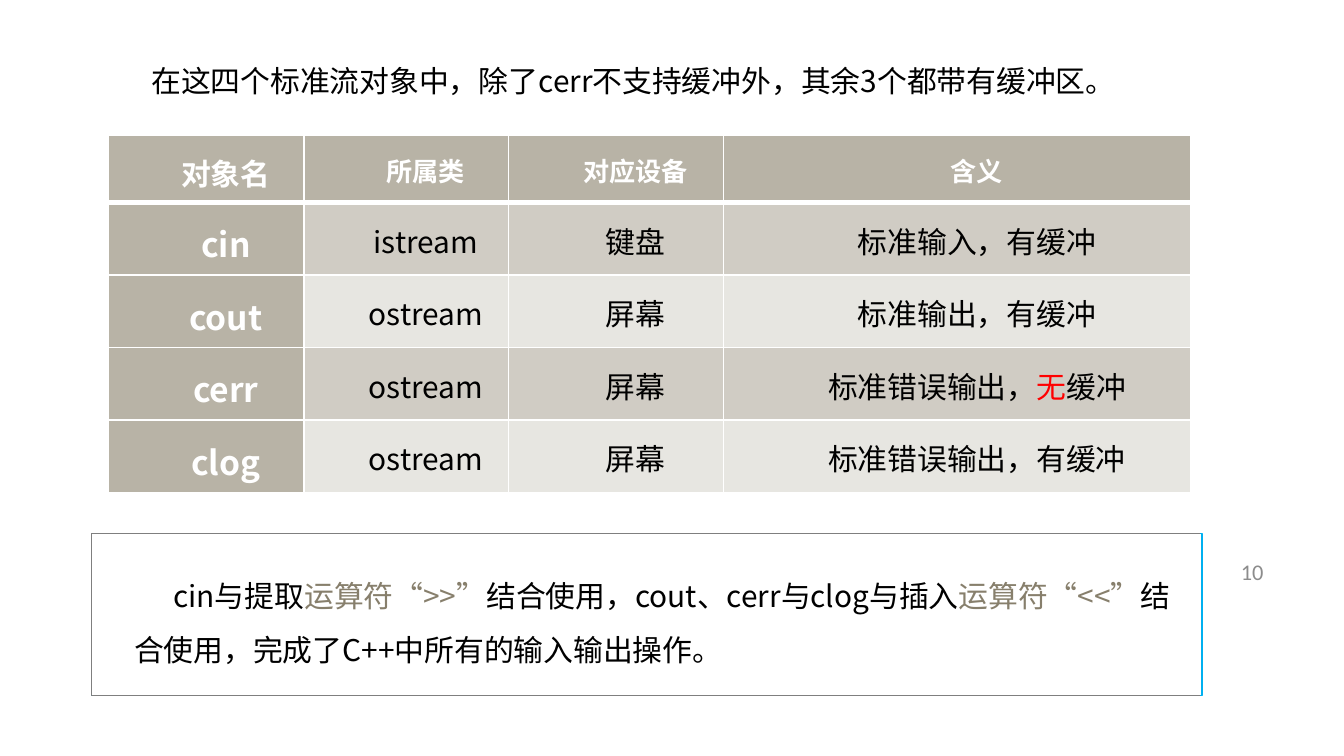
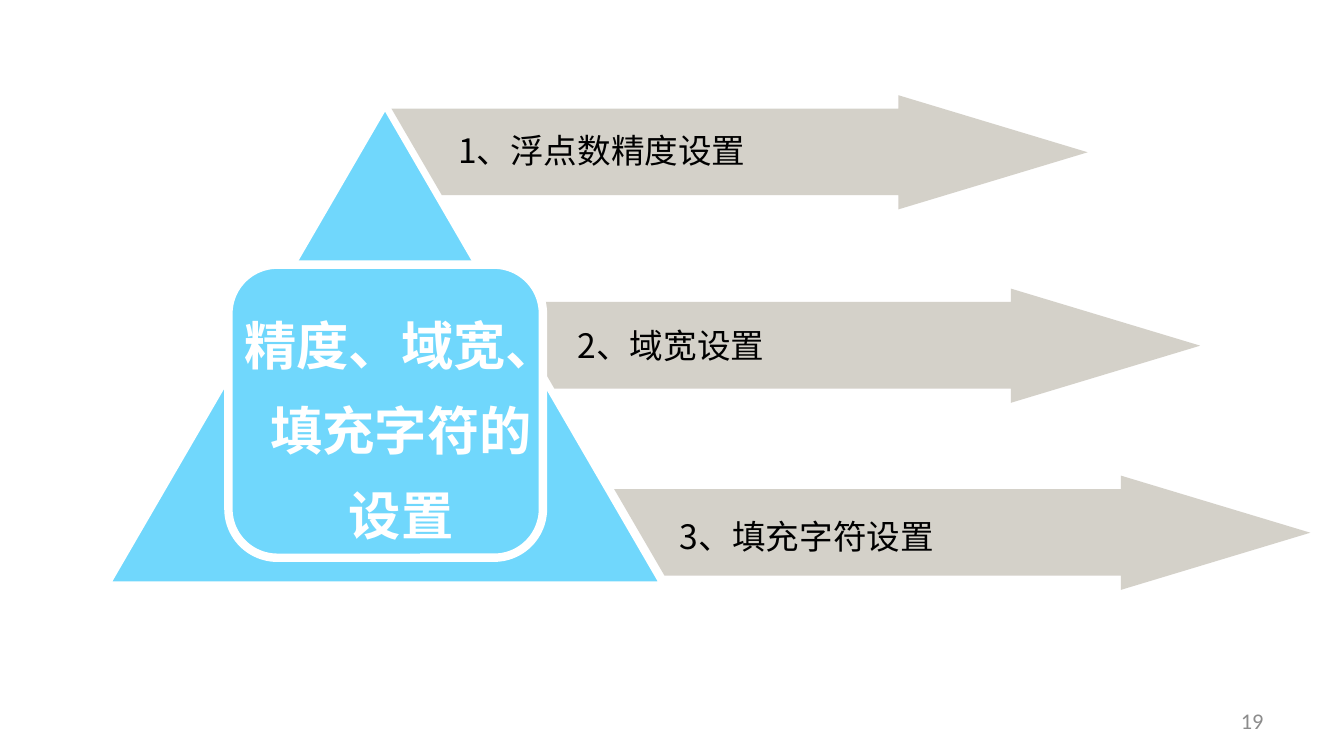
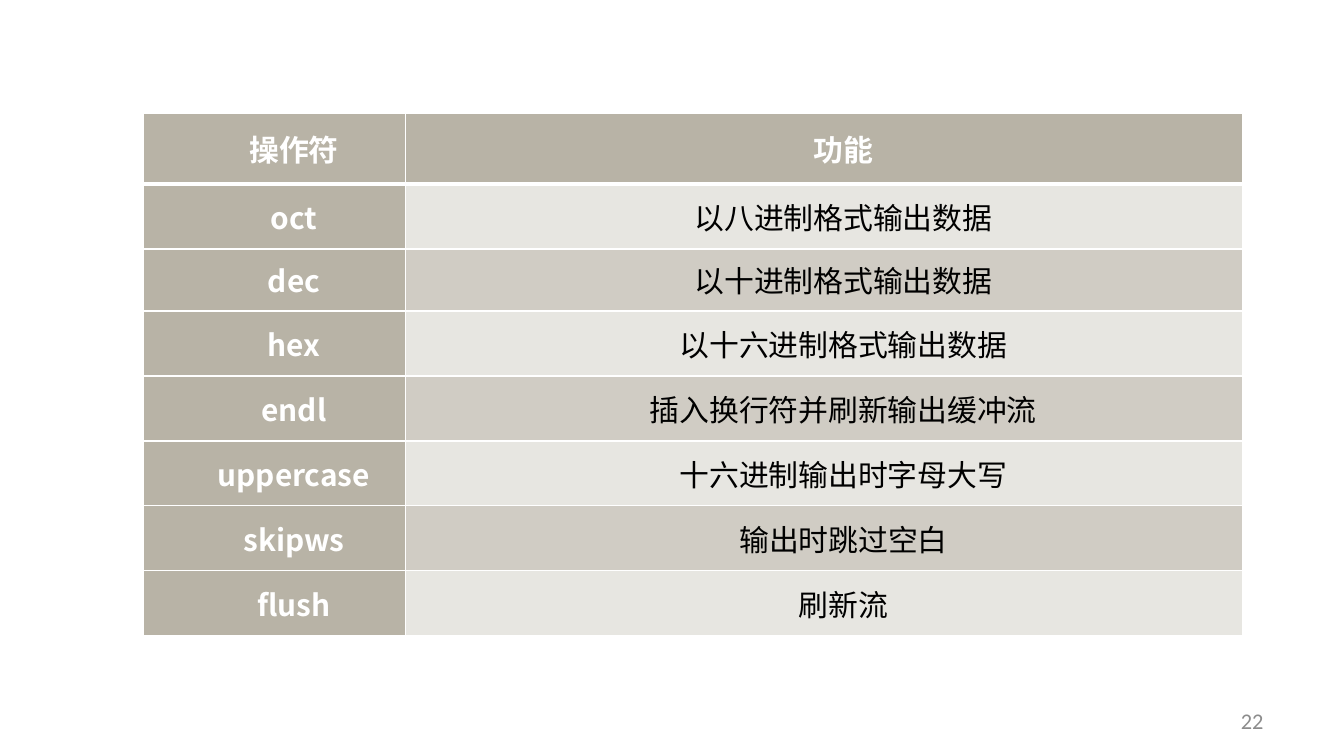
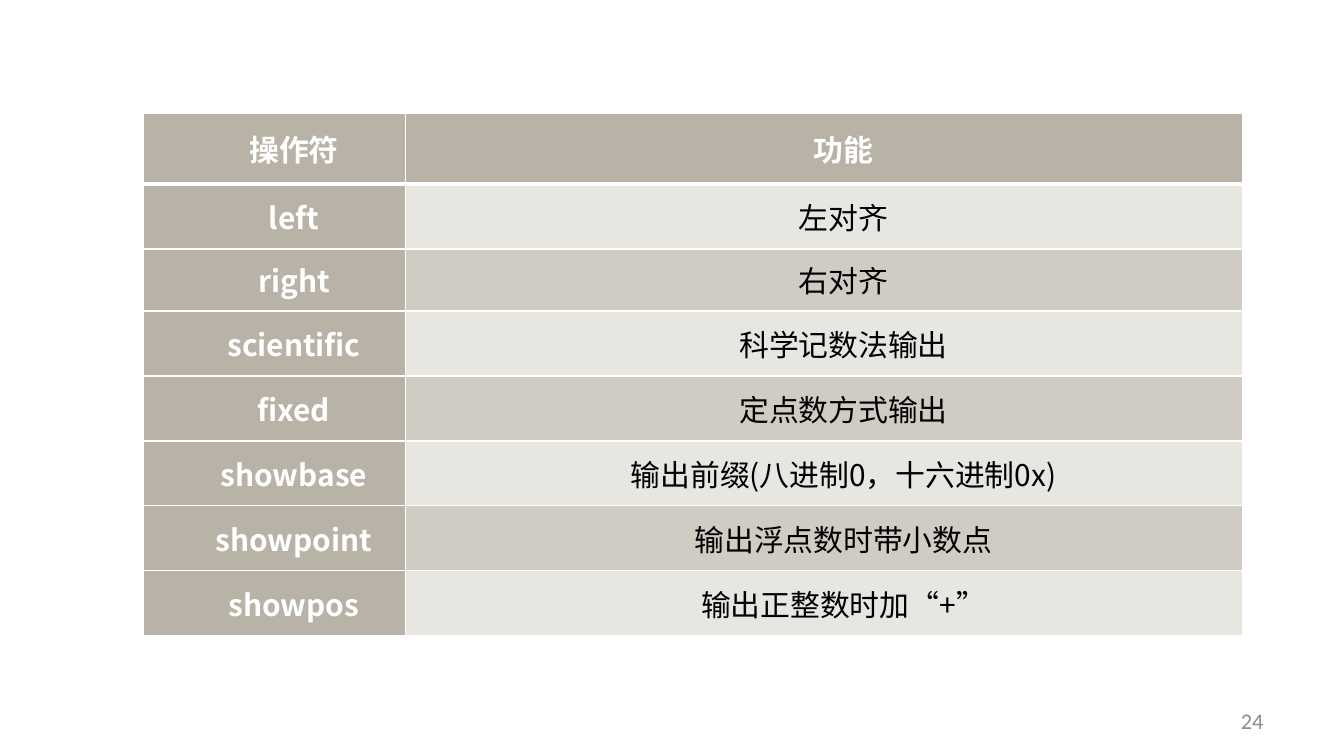
from lxml.etree import SubElement
from pptx import Presentation
from pptx.dml.color import RGBColor as RGB
from pptx.enum.shapes import MSO_SHAPE as SHAPE
from pptx.enum.text import MSO_ANCHOR as ANCHOR, MSO_AUTO_SIZE as AUTO, PP_ALIGN as ALIGN
from pptx.oxml.ns import qn
from pptx.util import Pt

COLORS = {
    "white": "FFFFFF", "black": "000000", "red": "FF0000", "gray": "8C8C8C",
    "head": "B8B3A6", "dark": "D0CCC4", "light": "E7E6E1", "accent": "877F6C",
    "sky": "70D7FC", "blue": "00B0F0", "edge": "7F7F7F",
}
FONT = "Noto Sans CJK SC"


class Deck:
    """Holds the shared style and the slide being built."""

    def __init__(self):
        self.prs = Presentation()
        self.prs.slide_width, self.prs.slide_height = Pt(720), Pt(405)
        self.s = None

    def slide(self, number, top=375):
        self.s = self.prs.slides.add_slide(self.prs.slide_layouts[6])
        self.text(516, top, 168, 21.6, [str(number)], 12, "gray", align=ALIGN.RIGHT,
                  anchor=ANCHOR.MIDDLE, font="Calibri", grow=False)

    def rgb(self, name):
        return RGB.from_string(COLORS[name])

    def paragraph(self, p, runs, size, color, bold=False, align=ALIGN.LEFT,
                  indent=0, spacing=None, font=FONT):
        p.alignment = align
        p.line_spacing = spacing
        f = p.font
        f.size, f.bold, f.name = Pt(size), bold, font
        f.color.rgb = self.rgb(color)
        pPr = p._p.pPr
        pPr.set("marL", "0")
        pPr.set("indent", str(int(Pt(indent))))
        SubElement(pPr.find(qn("a:defRPr")), qn("a:ea"), typeface=font)
        for run in [runs] if isinstance(runs, str) else runs:
            words, tint = (run, None) if isinstance(run, str) else run
            r = p.add_run()
            r.text = words
            if tint:
                r.font.color.rgb = self.rgb(tint)

    def text(self, x, y, w, h, paragraphs, size, color="black", anchor=ANCHOR.TOP,
             grow=True, **style):
        tf = self.s.shapes.add_textbox(Pt(x), Pt(y), Pt(w), Pt(h)).text_frame
        tf.word_wrap = True
        tf.vertical_anchor = anchor
        tf.auto_size = AUTO.SHAPE_TO_FIT_TEXT if grow else AUTO.NONE
        for i, runs in enumerate(paragraphs):
            p = tf.add_paragraph() if i else tf.paragraphs[0]
            self.paragraph(p, runs, size, color, **style)

    def paint(self, sp, fill=None, line=None, width=0.75, alpha=None):
        sp.shadow.inherit = False
        if fill:
            sp.fill.solid()
            sp.fill.fore_color.rgb = self.rgb(fill)
        else:
            sp.fill.background()
        if alpha:
            clr = sp._element.spPr.find(qn("a:solidFill"))[0]
            SubElement(clr, qn("a:alpha"), val=str(alpha * 1000))
        if line:
            sp.line.color.rgb = self.rgb(line)
            sp.line.width = Pt(width)
        else:
            sp.line.fill.background()

    def shape(self, kind, x, y, w, h, **look):
        self.paint(self.s.shapes.add_shape(kind, Pt(x), Pt(y), Pt(w), Pt(h)), **look)

    def outline(self, x, y, points, close=True, **look):
        pts = [(Pt(x + dx), Pt(y + dy)) for dx, dy in points]
        fb = self.s.shapes.build_freeform(*pts[0])
        fb.add_line_segments(pts[1:], close=close)
        self.paint(fb.convert_to_shape(), **look)

    def arrow(self, x, y, label, dx, dy):
        points = [(0, 7.2), (271.5, 7.2), (271.5, 0), (373, 30.6),
                  (271.5, 61.2), (271.5, 53.6), (27, 53.6)]
        self.outline(x, y, points, fill="dark", alpha=90)
        self.text(x + dx, y + dy, 245, 28.8, [label], 18)

    def borders(self, cell, bottom):
        tcPr = cell._tc.get_or_add_tcPr()
        for side, width in (("L", 1), ("R", 1), ("T", 1), ("B", bottom)):
            ln = SubElement(tcPr, qn("a:ln" + side), w=str(int(Pt(width))))
            fill = SubElement(ln, qn("a:solidFill"))
            SubElement(fill, qn("a:srgbClr"), val=COLORS["white"])

    def table(self, x, y, widths, heights, rows, bands, insets, head_size=16, key_size=16):
        t = self.s.shapes.add_table(len(rows), len(widths), Pt(x), Pt(y),
                                    Pt(sum(widths)), Pt(sum(heights))).table
        for col, w in zip(t.columns, widths):
            col.width = Pt(w)
        for row, h in zip(t.rows, heights):
            row.height = Pt(h)
        side, edge = insets
        for i, row in enumerate(rows):
            for j, runs in enumerate(row):
                cell = t.cell(i, j)
                cell.margin_left = cell.margin_right = Pt(side)
                cell.margin_top = cell.margin_bottom = Pt(edge)
                cell.vertical_anchor = ANCHOR.MIDDLE
                self.borders(cell, 1 if i else 3)
                key = i == 0 or j == 0
                cell.fill.solid()
                cell.fill.fore_color.rgb = self.rgb("head" if key else bands[(i - 1) % 2])
                size = head_size if i == 0 and j else key_size if i and j == 0 else 16
                self.paragraph(cell.text_frame.paragraphs[0], runs, size,
                               "white" if key else "black", bold=key,
                               align=ALIGN.CENTER, indent=21)

    def operators(self, number, rows):
        self.slide(number)
        self.table(76.8, 60.8, [140.4, 448.4], [37.8, 34.8, 33.2] + [34.8] * 5,
                   [("操作符", "功能")] + rows, ("light", "dark"), (5, 0))


d = Deck()

d.slide(10, top=295.5)
d.shape(SHAPE.RECTANGLE, 49, 286, 595, 86.5, fill="white", line="blue", alpha=90)
d.outline(49, 286, [(594, 0), (0, 0), (0, 86.5), (594, 86.5)], close=False, line="edge")
d.text(49, 20.2, 611, 33.1, ["在这四个标准流对象中，除了cerr不支持缓冲外，其余3个都带有缓冲区。"],
       16, indent=25, spacing=1.5)
d.table(58, 72.2, [105, 109.4, 115.2, 250.6], [36] + [38.6] * 4, [
    ("对象名", "所属类", "对应设备", "含义"),
    ("cin", "istream", "键盘", "标准输入，有缓冲"),
    ("cout", "ostream", "屏幕", "标准输出，有缓冲"),
    ("cerr", "ostream", "屏幕", ["标准错误输出，", ("无", "red"), "缓冲"]),
    ("clog", "ostream", "屏幕", "标准错误输出，有缓冲"),
], ("dark", "light"), (8.6, 8.6), head_size=14, key_size=18)
d.text(64.8, 296.6, 574, 65.5, [[
    "cin与提取", ("运算符“>>”", "accent"), "结合使用，cout、cerr与clog与插入",
    ("运算符“<<”", "accent"), "结合使用，完成了C++中所有的输入输出操作。",
]], 16, indent=21, spacing=1.5)

d.slide(19)
d.arrow(270, 154.6, "2、域宽设置", 32.4, 16)
d.shape(SHAPE.ISOSCELES_TRIANGLE, 58.3, 57.6, 296, 255, fill="sky", line="white", width=2.25)
d.shape(SHAPE.ROUNDED_RECTANGLE, 122.4, 141.8, 168.5, 157, fill="sky", line="white", width=4.5)
d.text(123.8, 152.6, 182.2, 185.8, ["精度、域宽、", "填充字符的", "设置"], 28, "white",
       bold=True, align=ALIGN.CENTER, spacing=1.35)
d.arrow(209.7, 51, "1、浮点数精度设置", 28.6, 15.2)
d.arrow(329, 254.8, "3、填充字符设置", 28.2, 18.1)

d.operators(22, [
    ("oct", "以八进制格式输出数据"),
    ("dec", "以十进制格式输出数据"),
    ("hex", "以十六进制格式输出数据"),
    ("endl", "插入换行符并刷新输出缓冲流"),
    ("uppercase", "十六进制输出时字母大写"),
    ("skipws", "输出时跳过空白"),
    ("flush", "刷新流"),
])

d.operators(24, [
    ("left", "左对齐"),
    ("right", "右对齐"),
    ("scientific", "科学记数法输出"),
    ("fixed", "定点数方式输出"),
    ("showbase", "输出前缀(八进制0，十六进制0x)"),
    ("showpoint", "输出浮点数时带小数点"),
    ("showpos", "输出正整数时加“+”"),
])

d.prs.save("out.pptx")
